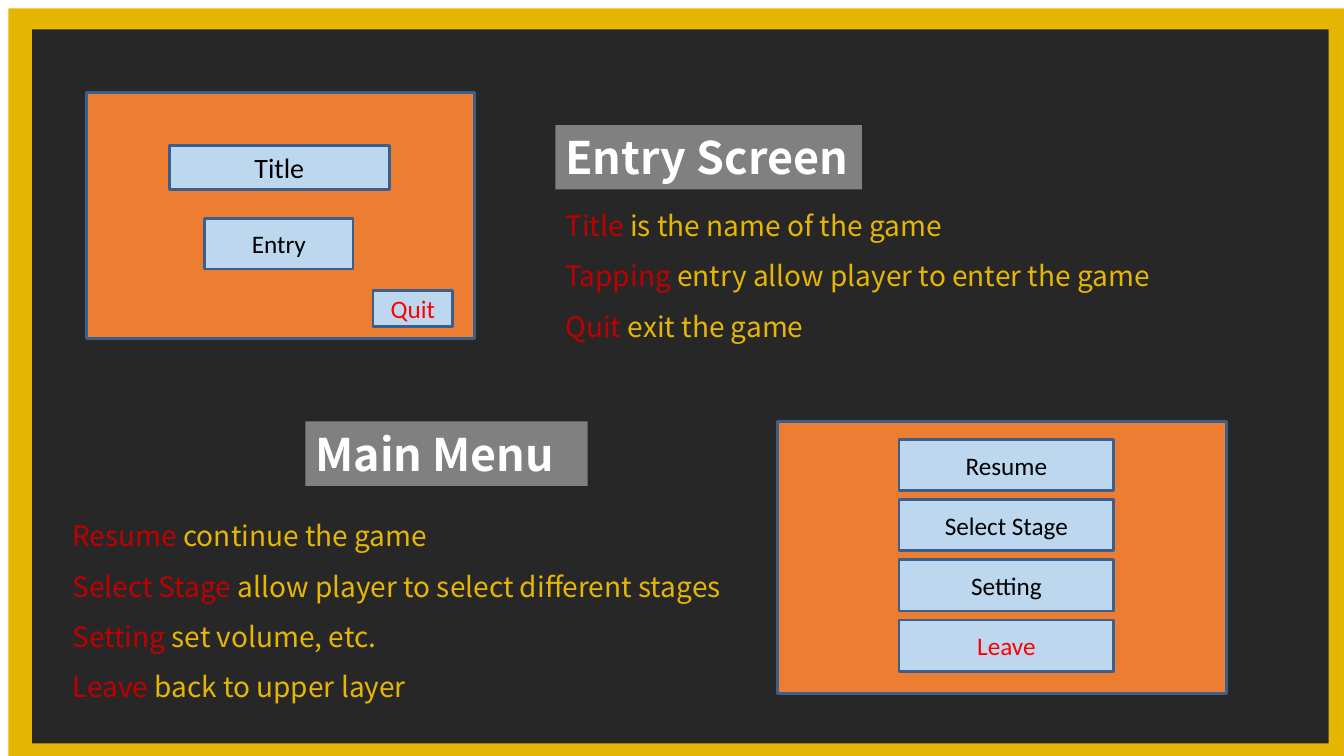
from pptx import Presentation
from pptx.dml.color import RGBColor
from pptx.enum import shapes, text
from pptx.util import Pt

GOLD = RGBColor(0xE5, 0xB7, 0x04)
DARK = RGBColor(0x28, 0x27, 0x28)
GRAY = RGBColor(0x80, 0x80, 0x80)
ORANGE = RGBColor(0xED, 0x7D, 0x31)
SKY = RGBColor(0xBD, 0xD7, 0xEE)
NAVY = RGBColor(0x3A, 0x5F, 0x8C)
CRIMSON = RGBColor(0xC0, 0x00, 0x00)
RED = RGBColor(0xFF, 0x00, 0x00)
BLACK = RGBColor(0x00, 0x00, 0x00)
WHITE = RGBColor(0xFF, 0xFF, 0xFF)
SANS = "Noto Sans CJK SC"

deck = Presentation()
deck.slide_width, deck.slide_height = Pt(960), Pt(540)
slide = deck.slides.add_slide(deck.slide_layouts[6])


def add_box(left, top, width, height, fill, line=None):
    box = slide.shapes.add_shape(
        shapes.MSO_SHAPE.RECTANGLE, Pt(left), Pt(top), Pt(width), Pt(height))
    box.shadow.inherit = False
    box.fill.solid()
    box.fill.fore_color.rgb = fill
    if line is None:
        box.line.fill.background()
    else:
        box.line.color.rgb = line
        box.line.width = Pt(2)
    return box


def write(shape, *lines, font="Calibri", size=18, bold=False, space=None,
          align=text.PP_ALIGN.LEFT, anchor=text.MSO_ANCHOR.TOP):
    """Fill a shape with lines, each a list of (words, colour) runs."""
    frame = shape.text_frame
    frame.word_wrap = True
    frame.vertical_anchor = anchor
    for i, line in enumerate(lines):
        para = frame.add_paragraph() if i else frame.paragraphs[0]
        para.alignment = align
        para.line_spacing = space
        for words, color in line:
            run = para.add_run()
            run.text = words
            run.font.name = font
            run.font.size = Pt(size)
            run.font.bold = bold
            run.font.color.rgb = color


# Frame
add_box(6, 6, 954, 534, GOLD)
add_box(23, 21, 926, 510, DARK)

# Notes on each screen
notes = [
    ((396.7, 133.2, 459.4, 116.6), [
        ("Title ", "is the name of the game"),
        ("Tapping ", "entry allow player to enter the game"),
        ("Quit ", "exit the game")]),
    ((44.6, 355, 510.5, 152.6), [
        ("Resume ", "continue the game"),
        ("Select Stage ", "allow player to select different stages"),
        ("Setting ", "set volume, etc."),
        ("Leave ", "back to upper layer")]),
]
for place, items in notes:
    note = slide.shapes.add_textbox(*map(Pt, place))
    lines = [[(term, CRIMSON), (rest, GOLD)] for term, rest in items]
    write(note, *lines, font=SANS, size=20, space=1.5)

# Headings
for left, top, width, words in [(396.7, 89.3, 219, "Entry Screen"),
                                (218.2, 301, 201.6, "Main Menu")]:
    head = add_box(left, top, width, 46, GRAY)
    write(head, [(words, WHITE)], font=SANS, size=32, bold=True)

# Screens and their buttons
add_box(62, 66.2, 277.2, 175.7, ORANGE, NAVY)
add_box(555.1, 301, 321.1, 194.4, ORANGE, NAVY)

buttons = [
    ("Title", 121, 103.7, 157, 31.7, 20, BLACK),
    ("Entry", 146.2, 156.2, 106, 36, 18, BLACK),
    ("Quit", 266.4, 207.4, 57, 26, 18, RED),
]
for row, name in enumerate(["Resume", "Select Stage", "Setting", "Leave"]):
    color = RED if name == "Leave" else BLACK
    buttons.append((name, 642.2, 313.9 + 43 * row, 153.4, 36.5, 18, color))

for name, left, top, width, height, size, color in buttons:
    button = add_box(left, top, width, height, SKY, NAVY)
    write(button, [(name, color)], size=size,
          align=text.PP_ALIGN.CENTER, anchor=text.MSO_ANCHOR.MIDDLE)

deck.save("out.pptx")
